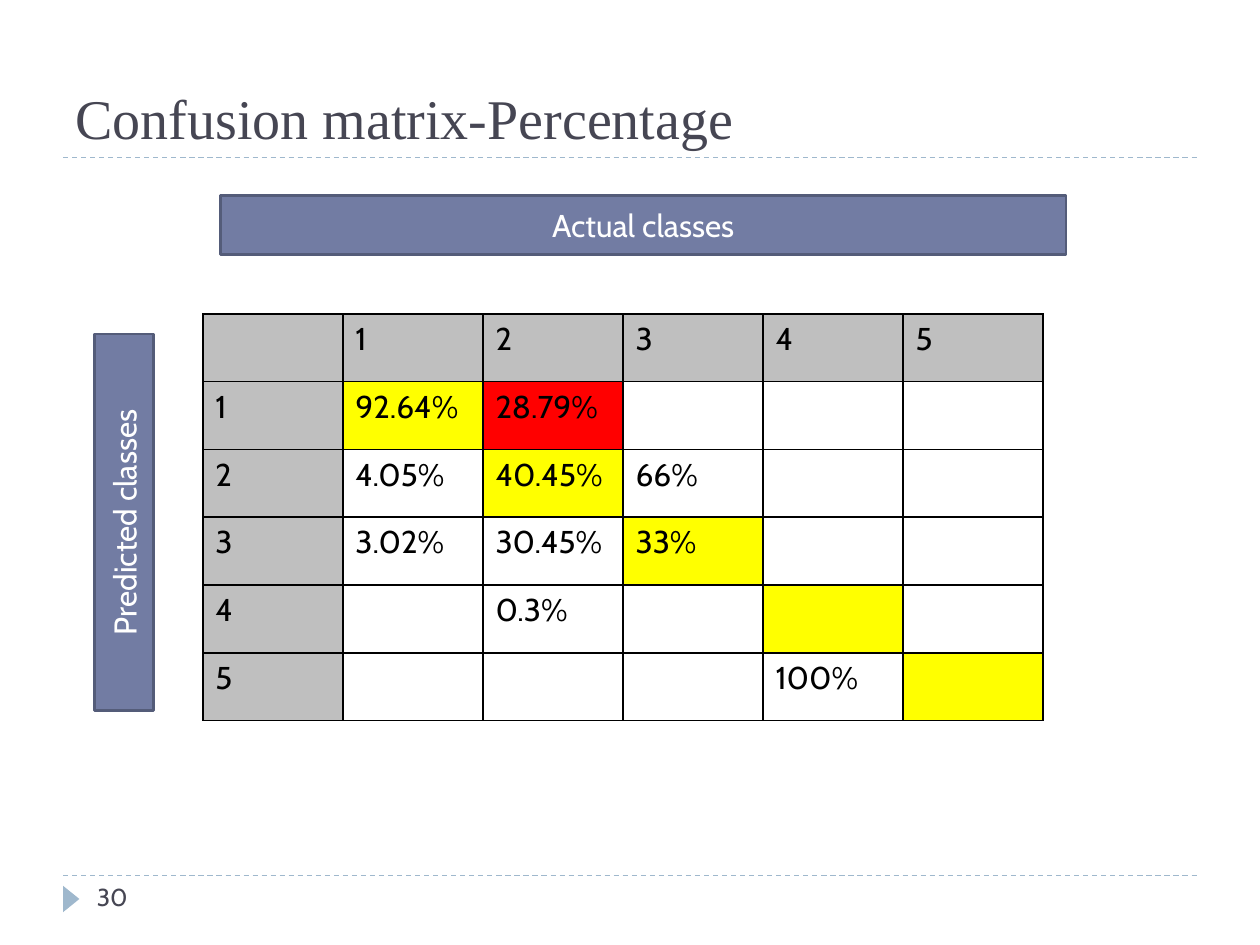
from lxml.etree import SubElement as sub
from pptx import Presentation
from pptx.dml.color import RGBColor as RGB
from pptx.enum.dml import MSO_LINE as Dash
from pptx.enum.shapes import MSO_CONNECTOR as Link, MSO_SHAPE as Kind
from pptx.enum.text import MSO_ANCHOR as Anchor, PP_ALIGN as Align
from pptx.oxml.ns import qn
from pptx.util import Inches, Pt

# Content
TITLE = "Confusion matrix-Percentage"
NUMBER = "30"
BARS = [  # text, box, text direction
    ("Actual classes", (1.75, 1.55, 6.71, 0.47), "horz"),
    ("Predicted classes", (0.75, 2.65, 0.47, 2.99), "vert270"),
]
MATRIX = [
    ["", "1", "2", "3", "4", "5"],
    ["1", "92.64%", "28.79%", "", "", ""],
    ["2", "4.05%", "40.45%", "66%", "", ""],
    ["3", "3.02%", "30.45%", "33%", "", ""],
    ["4", "", "0.3%", "", "", ""],
    ["5", "", "", "", "100%", ""],
]
WORST = (1, 2)
RULES = (1.25, 6.95)
COLORS = {
    "ink": "464653", "bar": "727CA3", "edge": "545C79", "rule": "9FB8CD",
    "head": "BFBFBF", "hit": "FFFF00", "worst": "FF0000",
    "white": "FFFFFF", "black": "000000",
}


def color(name):
    return RGB.from_string(COLORS[name])


def paint(fill, name):
    fill.solid()
    fill.fore_color.rgb = color(name)


def style(para, size, ink, font="Cabin", align=Align.LEFT):
    para.alignment = align
    para.font.size = Pt(size)
    para.font.name = font
    para.font.bold = False
    para.font.color.rgb = color(ink)


def frame(cell):
    props = cell._tc.get_or_add_tcPr()
    for side in "LRTB":
        line = sub(props, qn(f"a:ln{side}"), w=str(Pt(1)))
        fill = sub(line, qn("a:solidFill"))
        sub(fill, qn("a:srgbClr"), val=COLORS["black"])


def shade(row, col):
    if row == 0 or col == 0:
        return "head"
    if (row, col) == WORST:
        return "worst"
    return "hit" if row == col else "white"


deck = Presentation()
deck.slide_width, deck.slide_height = Inches(10), Inches(7.5)
slide = deck.slides.add_slide(deck.slide_layouts[5])
shapes = slide.shapes

# Dashed rules
for y in RULES:
    rule = shapes.add_connector(
        Link.STRAIGHT, Inches(0.5), Inches(y), Inches(9.5), Inches(y))
    rule.line.color.rgb = color("rule")
    rule.line.width = Pt(0.75)
    rule.line.dash_style = Dash.DASH
    sub(rule._element.spPr, qn("a:effectLst"))

# Slide number and its marker
mark = shapes.add_shape(
    Kind.ISOSCELES_TRIANGLE, *map(Inches, (0.46, 7.07, 0.21, 0.13)))
mark.rotation = 90
mark.shadow.inherit = False
paint(mark.fill, "rule")
mark.line.fill.background()

number = shapes.add_textbox(*map(Inches, (0.67, 6.95, 2.17, 0.4))).text_frame
number.word_wrap = True
number.text = NUMBER
style(number.paragraphs[0], 14, "ink")

# Title
title = shapes.title
title.left, title.top, title.width, title.height = map(
    Inches, (0.5, 0.17, 9, 1.08))
title.text_frame.text = TITLE
title.text_frame.vertical_anchor = Anchor.BOTTOM
style(title.text_frame.paragraphs[0], 32, "ink", "Times New Roman")

# Axis bars
for text, box, turn in BARS:
    bar = shapes.add_shape(Kind.RECTANGLE, *map(Inches, box))
    bar.shadow.inherit = False
    paint(bar.fill, "bar")
    bar.line.color.rgb = color("edge")
    bar.line.width = Pt(1.5)
    body = bar.text_frame
    body.text = text
    body.vertical_anchor = Anchor.MIDDLE
    body._txBody.bodyPr.set("vert", turn)
    style(body.paragraphs[0], 18, "white", align=Align.CENTER)

# Matrix
size = len(MATRIX)
grid = shapes.add_table(
    size, size, *map(Inches, (1.61, 2.49, 6.67, 3.23))).table
grid.first_row = grid.horz_banding = False
for r, row in enumerate(MATRIX):
    for c, text in enumerate(row):
        cell = grid.cell(r, c)
        cell.text = text
        style(cell.text_frame.paragraphs[0], 18, "black")
        frame(cell)
        paint(cell.fill, shade(r, c))

deck.save("out.pptx")
